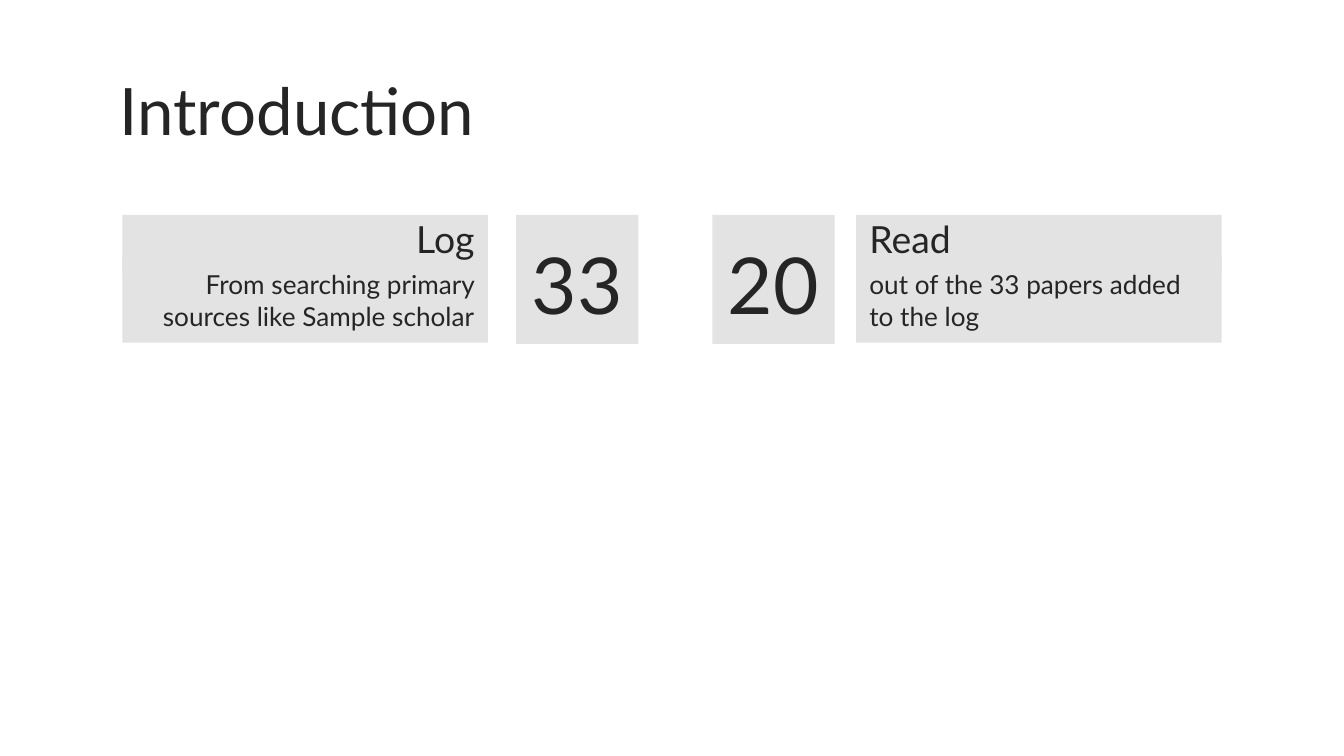
from pptx import Presentation
from pptx.dml.color import RGBColor
from pptx.enum.shapes import MSO_SHAPE
from pptx.enum.text import MSO_ANCHOR, MSO_AUTO_SIZE, PP_ALIGN
from pptx.util import Inches, Pt

INK = RGBColor(0x25, 0x25, 0x25)
PANEL = RGBColor(0xE3, 0xE3, 0xE3)
FONT = "Lato"


def set_text(sp, text, size, align, anchor):
    tf = sp.text_frame
    tf.word_wrap = True
    tf.auto_size = MSO_AUTO_SIZE.NONE
    tf.vertical_anchor = anchor
    tf.margin_left = tf.margin_right = Inches(0.1)
    tf.margin_top = tf.margin_bottom = Inches(0.1)
    p = tf.paragraphs[0]
    p.text = text
    p.alignment = align
    p.line_spacing = 1.0
    p.font.name = FONT
    p.font.size = Pt(size)
    p.font.color.rgb = INK


def add_panel(x, y, w, h, text, size, align, anchor):
    sp = s.shapes.add_shape(MSO_SHAPE.RECTANGLE, Inches(x), Inches(y), Inches(w), Inches(h))
    sp.shadow.inherit = False
    sp.fill.solid()
    sp.fill.fore_color.rgb = PANEL
    sp.line.fill.background()
    set_text(sp, text, size, align, anchor)


prs = Presentation()
prs.slide_width = Inches(10)
prs.slide_height = Inches(10 * 9 / 16)
s = prs.slides.add_slide(prs.slide_layouts[5])

title = s.shapes.title
title.left, title.top = Inches(0.79), Inches(0.42)
title.width, title.height = Inches(8.43), Inches(0.63)
set_text(title, "Introduction", 35, PP_ALIGN.LEFT, MSO_ANCHOR.TOP)

# text left, number left, alignment, heading, number, description
cards = [
    (0.91, 3.84, PP_ALIGN.RIGHT, "Log", "33",
     "From searching primary sources like Sample scholar"),
    (6.37, 5.3, PP_ALIGN.LEFT, "Read", "20",
     "out of the 33 papers added to the log"),
]
for text_x, number_x, align, heading, number, description in cards:
    add_panel(text_x, 1.9, 2.72, 0.65, description, 14, align, MSO_ANCHOR.TOP)
    add_panel(number_x, 1.6, 0.91, 0.96, number, 42, PP_ALIGN.CENTER, MSO_ANCHOR.BOTTOM)
    add_panel(text_x, 1.6, 2.72, 0.44, heading, 20, align, MSO_ANCHOR.BOTTOM)

prs.save("out.pptx")
